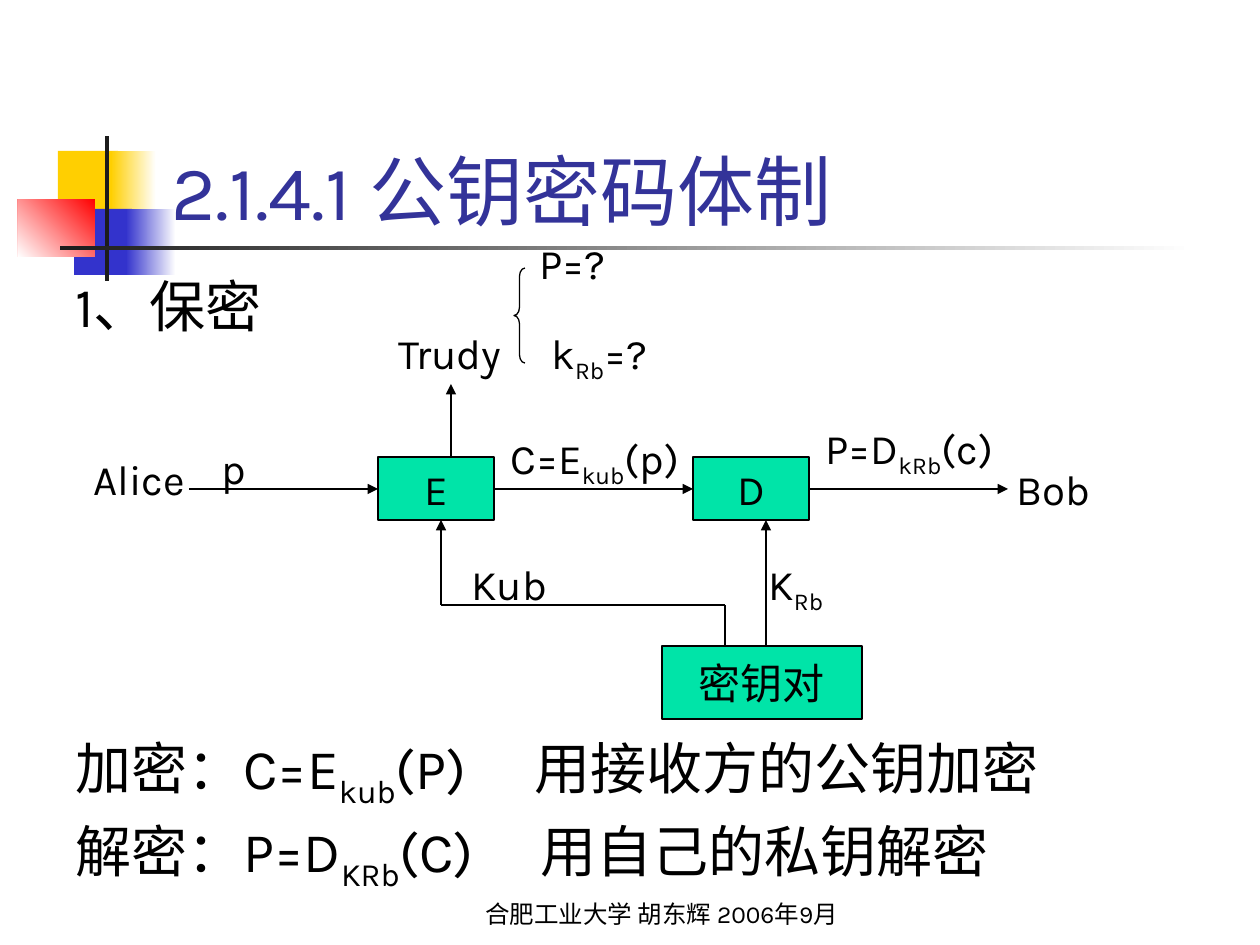
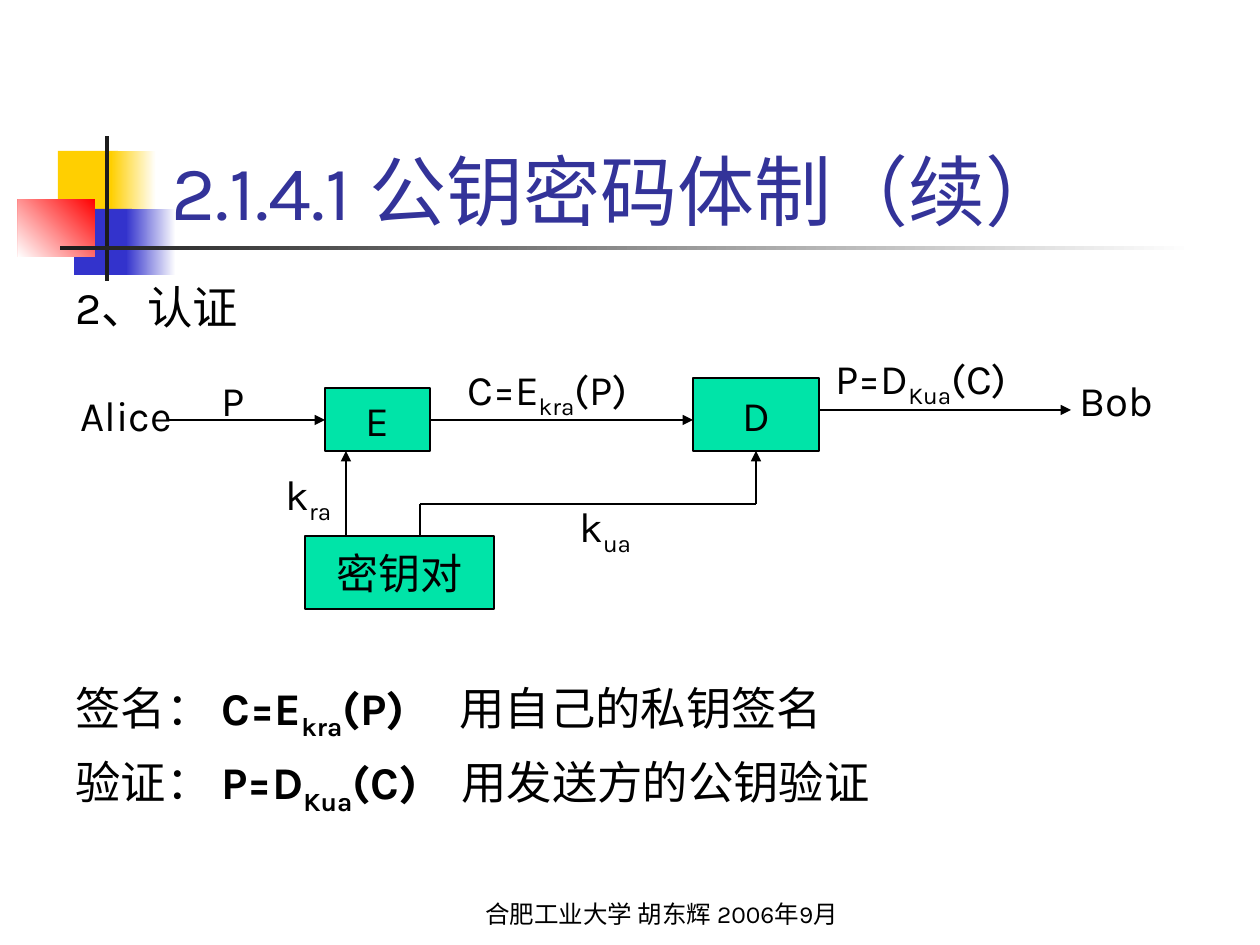
import itertools

import pptx
import pptx.dml.color
import pptx.enum.dml
import pptx.enum.shapes
import pptx.enum.text
import pptx.util
from pptx.oxml.ns import qn
from lxml import etree

EMU_PER_PX = 914400 / 126
FONT = "Karla"
FOOTER = "合肥工业大学 胡东辉 2006年9月"
COLORS = {
    "text": "000000",
    "title": "333399",
    "node": "00E4A8",
    "yellow": "FFCF01",
    "blue": "3333CC",
    "red": "FF0000",
    "dark": "1C1C1C",
    "white": "FFFFFF",
}
ANCHOR = pptx.enum.text.MSO_ANCHOR
ALIGN = pptx.enum.text.PP_ALIGN
SHAPE = pptx.enum.shapes.MSO_SHAPE


def px(length):
    return pptx.util.Emu(round(length * EMU_PER_PX))


def color(name):
    return pptx.dml.color.RGBColor.from_string(COLORS[name])


# ---- Text ----

def add_spans(para, text):
    """Write one line: *...* is bold and ~...~ is subscript."""
    for i, piece in enumerate(text.split("*")):
        for j, segment in enumerate(piece.split("~")):
            if not segment:
                continue
            span = para.add_run()
            span.text = segment
            if i % 2:
                span.font.bold = True
            if j % 2:
                span._r.get_or_add_rPr().set("baseline", "-25000")


def add_tab_stop(para, position):
    tabs = etree.SubElement(para._p.get_or_add_pPr(), qn("a:tabLst"))
    etree.SubElement(tabs, qn("a:tab"), pos=str(px(position)), algn="l")


def write_text(shape, text, size=24, ink="text", align=ALIGN.LEFT,
               anchor=ANCHOR.TOP, wrap=True, fit=False, space=0,
               spacing=None, tabs=()):
    frame = shape.text_frame
    frame.word_wrap = wrap
    frame.vertical_anchor = anchor
    if fit:
        frame.auto_size = pptx.enum.text.MSO_AUTO_SIZE.SHAPE_TO_FIT_TEXT
    for index, line in enumerate(text.split("\n")):
        para = frame.add_paragraph() if index else frame.paragraphs[0]
        para.alignment = align
        if spacing:
            para.line_spacing = spacing
        if index and space:
            para.space_before = pptx.util.Pt(space)
        if tabs:
            add_tab_stop(para, tabs[index])
        add_spans(para, line)
        for span in para.runs:
            span.font.name = FONT
            span.font.size = pptx.util.Pt(size)
            span.font.color.rgb = color(ink)


def add_text(page, text, left, top, width, height, **text_format):
    box = page.shapes.add_textbox(px(left), px(top), px(width), px(height))
    write_text(box, text, **text_format)


def add_label(page, text, left, top, width):
    height = 71 if "~" in text else 63
    add_text(page, text, left, top, width, height, wrap=False, fit=True)


# ---- Shapes and lines ----

def add_block(page, left, top, width, height, fill, fade_angle=None,
              fade_from="white", outline=False):
    block = page.shapes.add_shape(
        SHAPE.RECTANGLE, px(left), px(top), px(width), px(height))
    block.shadow.inherit = False
    if fade_angle is None:
        block.fill.solid()
        block.fill.fore_color.rgb = color(fill)
    else:
        block.fill.gradient()
        block.fill.gradient_angle = fade_angle
        for stop, name in zip(block.fill.gradient_stops, (fade_from, fill)):
            stop.color.rgb = color(name)
    if outline:
        style_line(block)
    else:
        block.line.fill.background()
    return block


def style_line(shape):
    shape.line.color.rgb = color("text")
    shape.line.width = pptx.util.Pt(0.75)


def add_node(page, text, left, top, width, height):
    node = add_block(page, left, top, width, height, "node", outline=True)
    write_text(node, text, align=ALIGN.CENTER, anchor=ANCHOR.MIDDLE, wrap=False)


def add_arrow(page, *points):
    """Join the points with straight lines; the last one has an arrowhead."""
    for start, end in itertools.pairwise(points):
        line = page.shapes.add_connector(
            pptx.enum.shapes.MSO_CONNECTOR.STRAIGHT,
            *(px(value) for value in (*start, *end)))
        style_line(line)
        etree.SubElement(line._element.spPr, qn("a:effectLst"))
    etree.SubElement(line.line._get_or_add_ln(), qn("a:tailEnd"), type="triangle")


def add_brace(page, left, top, width, height):
    brace = page.shapes.add_shape(
        SHAPE.LEFT_BRACE, px(left), px(top), px(width), px(height))
    brace.adjustments[0] = 0.75
    brace.shadow.inherit = False
    brace.fill.background()
    style_line(brace)


# ---- Parts shared by the slides ----

def add_page(deck, title):
    page = deck.slides.add_slide(deck.slide_layouts[6])
    add_block(page, 58, 151, 60, 66, "yellow")
    add_block(page, 111, 151, 45, 66, "yellow", fade_angle=180)
    add_block(page, 74, 209, 58, 66, "blue")
    add_block(page, 126, 209, 50, 66, "blue", fade_angle=180)
    add_block(page, 18, 199, 77, 58, "white", fade_angle=225, fade_from="red")
    add_block(page, 105, 136, 4, 145, "dark")
    add_block(page, 60, 246, 1134, 4, "dark", fade_angle=180)
    add_text(page, title, 159, 84, 1074, 158, size=44, ink="title",
             anchor=ANCHOR.BOTTOM)
    add_text(page, FOOTER, 462, 872, 399, 63, size=14, align=ALIGN.CENTER,
             anchor=ANCHOR.BOTTOM)
    return page


def add_body(page, heading, formulas, formulas_top, **text_format):
    add_text(page, heading, 63, 273, 1155, 75, **text_format)
    add_text(page, formulas, 63, formulas_top, 1155, 165, **text_format)


# ---- Slides ----

def build_secrecy(deck):
    page = add_page(deck, "2.1.4.1 公钥密码体制")
    add_body(page, "1、保密",
             "加密：C=E~kub~(P)\t用接收方的公钥加密\n"
             "解密：P=D~KRb~(C)\t用自己的私钥解密",
             728, size=32, space=8, spacing=0.9, tabs=(459, 465))

    # Boxes and flow
    add_node(page, "E", 378, 457, 116, 63)
    add_node(page, "D", 693, 457, 116, 63)
    add_node(page, "密钥对", 662, 646, 200, 73)
    for start, end in ((189, 378), (494, 693), (809, 1008)):
        add_arrow(page, (start, 489), (end, 489))
    add_arrow(page, (451, 457), (451, 384))
    add_arrow(page, (725, 646), (725, 605), (441, 605), (441, 520))
    add_arrow(page, (766, 646), (766, 520))
    add_brace(page, 514, 268, 11, 95)

    # Labels
    for label in (
        ("Trudy", 386, 321, 139),
        ("Alice", 81, 447, 117),
        ("Bob", 1004, 457, 103),
        ("p", 209, 436, 50),
        ("C=E~kub~(p)", 498, 426, 198),
        ("P=D~kRb~(c)", 813, 416, 198),
        ("Kub", 459, 552, 103),
        ("K~Rb~", 756, 552, 83),
        ("P=?", 527, 231, 92),
        ("k~Rb~=?", 539, 321, 122),
    ):
        add_label(page, *label)


def build_authentication(deck):
    page = add_page(deck, "2.1.4.1 公钥密码体制（续）")
    add_body(page, "2、认证",
             "签名： *C=E~kra~(P)*\t用自己的私钥签名\n"
             "验证： *P=D~Kua~(C)*\t用发送方的公钥验证",
             674, size=25.9, space=7, tabs=(384, 386))

    # Boxes and flow
    add_node(page, "E", 325, 388, 105, 63)
    add_node(page, "D", 693, 378, 126, 73)
    add_node(page, "密钥对", 305, 536, 189, 73)
    add_arrow(page, (168, 420), (325, 420))
    add_arrow(page, (430, 420), (693, 420))
    add_arrow(page, (819, 410), (1071, 410))
    add_arrow(page, (346, 536), (346, 451))
    add_arrow(page, (420, 536), (420, 504), (756, 504), (756, 451))

    # Labels
    for label in (
        ("Alice", 68, 383, 117),
        ("Bob", 1067, 368, 103),
        ("P", 209, 368, 50),
        ("C=E~kra~(P)", 455, 357, 192),
        ("P=D~Kua~(C)", 823, 346, 203),
        ("k~ra~", 273, 462, 72),
        ("k~ua~", 567, 494, 77),
    ):
        add_label(page, *label)


def main():
    deck = pptx.Presentation()
    deck.slide_width = px(1260)
    deck.slide_height = px(945)
    build_secrecy(deck)
    build_authentication(deck)
    deck.save("out.pptx")


if __name__ == "__main__":
    main()
